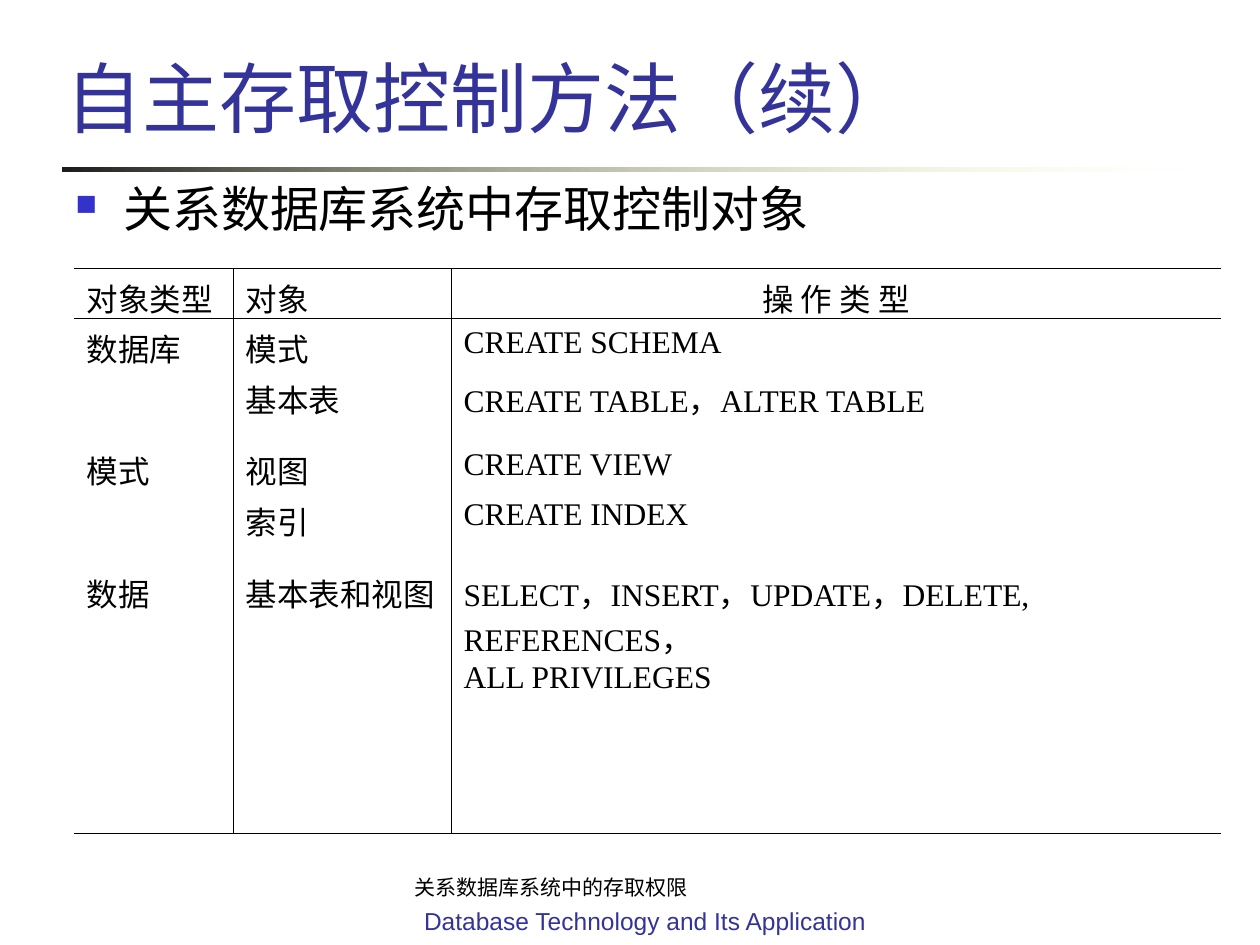
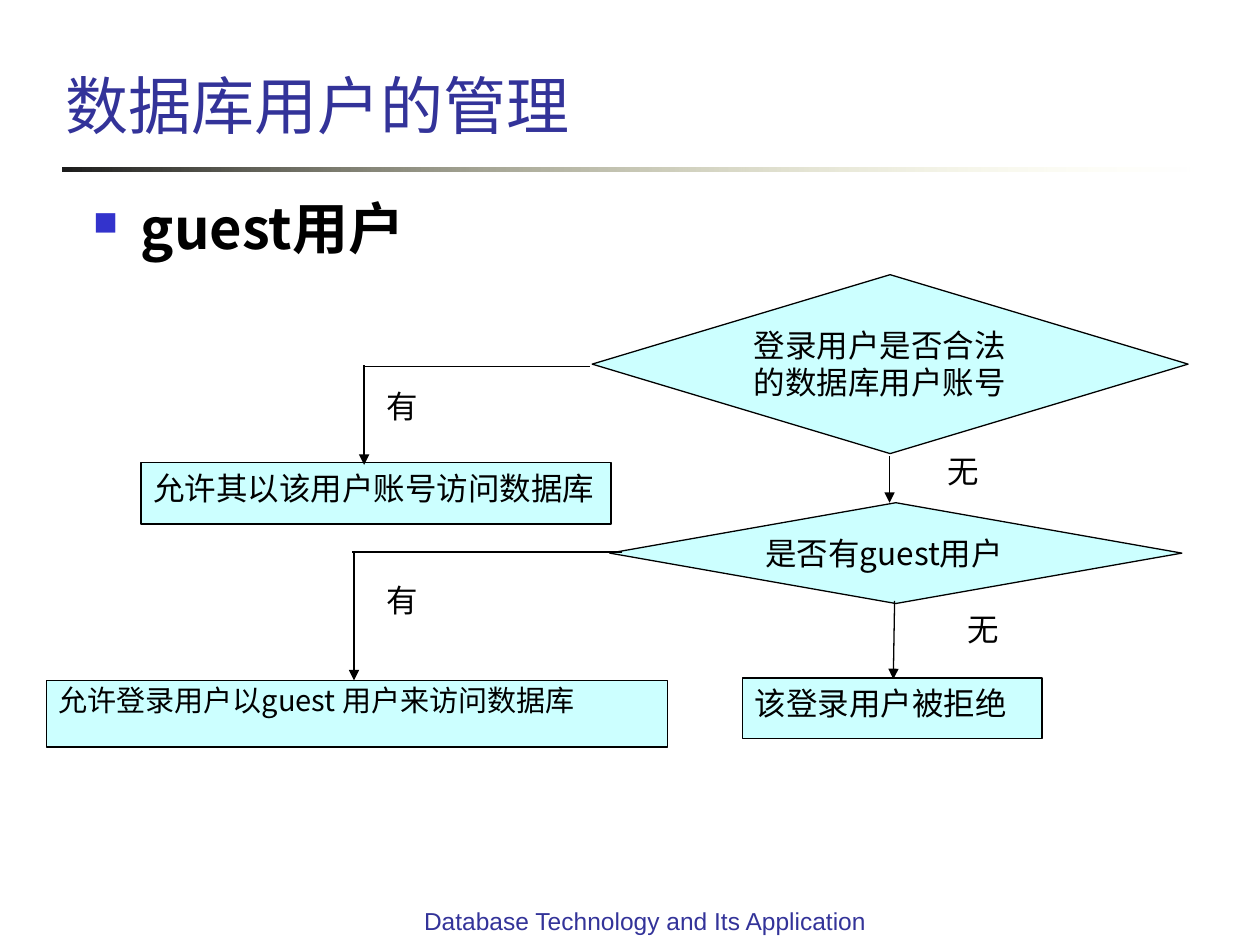
from lxml import etree
from pptx import Presentation, util as u
from pptx.dml.color import RGBColor
from pptx.enum import shapes, text
from pptx.oxml import parse_xml
from pptx.oxml.ns import nsdecls, qn

COLS, ROWS = 100, 75
NAVY, BLACK, AQUA, BULLET = "333399", "000000", "CCFFFF", "3333CC"
NOTO, ARIAL, TIMES = "Noto Sans CJK SC", "Arial", "Times New Roman"
LEFT, CENTER, JUSTIFY = text.PP_ALIGN.LEFT, text.PP_ALIGN.CENTER, text.PP_ALIGN.JUSTIFY
TOP, MIDDLE, BOTTOM = text.MSO_ANCHOR.TOP, text.MSO_ANCHOR.MIDDLE, text.MSO_ANCHOR.BOTTOM
rgb = RGBColor.from_string

prs = Presentation()
prs.slide_width, prs.slide_height = u.Inches(10), u.Inches(7.5)


def grid(*cells):
    return [int(prs.slide_width / COLS * n) for n in cells]


def put(tf, words, size=18, font=NOTO, color=BLACK, bold=False, align=LEFT,
        anchor=TOP, spacing=None, bullet=False):
    tf.word_wrap = True
    tf.vertical_anchor = anchor
    for i, line in enumerate(words.split("\n")):
        p = tf.add_paragraph() if i else tf.paragraphs[0]
        p.alignment = align
        if spacing:
            p.line_spacing = spacing
        if bullet:
            pPr = p._p.get_or_add_pPr()
            pPr.set("marL", str(u.Inches(0.38)))
            pPr.set("indent", str(-u.Inches(0.38)))
            for xml in (f'<a:buClr {nsdecls("a")}><a:srgbClr val="{BULLET}"/></a:buClr>',
                        f'<a:buSzPct {nsdecls("a")} val="60000"/>',
                        f'<a:buChar {nsdecls("a")} char="■"/>'):
                pPr.append(parse_xml(xml))
        r = p.add_run()
        r.text = line
        r.font.size, r.font.bold, r.font.name = u.Pt(size), bold, font
        r.font.color.rgb = rgb(color)
        etree.SubElement(r._r.get_or_add_rPr(), qn("a:ea")).set("typeface", NOTO)


pages = [
    ("自主存取控制方法（续）", dict(size=44, font=ARIAL),
     (5, 13.7, 89.9, 7), "关系数据库系统中存取控制对象", dict(size=28, font=ARIAL)),
    ("数据库用户的管理", dict(size=36),
     (6.4, 14.9, 89.6, 7.5), "guest用户", dict(size=32, bold=True, align=JUSTIFY)),
]
for title, title_format, body_at, body, body_format in pages:
    s = prs.slides.add_slide(prs.slide_layouts[6])
    sp = s.shapes.add_shape(shapes.MSO_SHAPE.RECTANGLE, *grid(5, 13.3, 90, 0.3))
    sp.shadow.inherit = False
    sp.line.fill.background()
    sp.fill.gradient()
    sp.fill.gradient_angle = 0
    for stop, color in zip(sp.fill.gradient_stops, ("1C1C1C", "FFFFB7")):
        stop.color.rgb = rgb(color)
    fade = list(sp._element.spPr.iter(qn("a:srgbClr")))[-1]
    etree.SubElement(fade, qn("a:alpha")).set("val", "0")
    put(s.shapes.add_textbox(*grid(31.9, 71.4, 38.6, 5.2)).text_frame,
        "Database Technology and Its Application", size=14, font=ARIAL, color=NAVY, align=CENTER)
    put(s.shapes.add_textbox(*grid(4.2, 0, 87.8, 11.8)).text_frame,
        title, color=NAVY, anchor=BOTTOM, **title_format)
    put(s.shapes.add_textbox(*grid(*body_at)).text_frame, body, bullet=True, **body_format)

s = prs.slides[0]
rows = [
    ("对象类型", "对象", "操 作 类 型"),
    ("数据库", "模式", "CREATE SCHEMA"),
    ("", "基本表", "CREATE TABLE，ALTER TABLE"),
    ("模式", "视图", "CREATE VIEW"),
    ("", "索引", "CREATE INDEX"),
    ("数据", "基本表和视图", "SELECT，INSERT，UPDATE，DELETE, REFERENCES，\nALL PRIVILEGES"),
    ("", "", ""),
    ("", "", ""),
]
widths = grid(12.6, 17.3, 61.1)
heights = grid(4, 4, 5.7, 4, 5.7, 10, 5.7, 5.7)
tbl = s.shapes.add_table(len(rows), len(widths), *grid(5.9, 21.3, 91, 44.8)).table
tbl.first_row = tbl.horz_banding = False
for col, width in zip(tbl.columns, widths):
    col.width = width
for i, (row, height) in enumerate(zip(rows, heights)):
    tbl.rows[i].height = height
    for j, words in enumerate(row):
        cell = tbl.cell(i, j)
        if words:
            put(cell.text_frame, words, font=TIMES, align=CENTER if (i, j) == (0, 2) else LEFT)
        cell.fill.background()
        edges = {"L": j > 0, "R": j < 2, "T": i < 2, "B": i in (0, len(rows) - 1)}
        for k, (side, drawn) in enumerate(edges.items()):
            paint = f'<a:solidFill><a:srgbClr val="{BLACK}"/></a:solidFill>' if drawn else "<a:noFill/>"
            cell._tc.get_or_add_tcPr().insert(k, parse_xml(
                f'<a:ln{side} {nsdecls("a")} w="{u.Pt(0.45)}">{paint}</a:ln{side}>'))
put(s.shapes.add_textbox(*grid(31.9, 68.4, 24.2, 4)).text_frame,
    "关系数据库系统中的存取权限", size=12, font=TIMES, anchor=MIDDLE)

s = prs.slides[1]
BOX, DIAMOND = shapes.MSO_SHAPE.RECTANGLE, shapes.MSO_SHAPE.DIAMOND
nodes = [
    (BOX, (11.2, 36.7, 37.3, 4.9), "允许其以该用户账号访问数据库", {}),
    (DIAMOND, (47, 21.8, 47.3, 14.2), "登录用户是否合法的数据库用户账号", {}),
    (BOX, (3.7, 54, 49.3, 5.3), "允许登录用户以guest 用户来访问数据库", dict(size=16.6, spacing=0.9)),
    (DIAMOND, (48.4, 39.9, 45.4, 8), "是否有guest用户", {}),
    (BOX, (58.9, 53.8, 23.8, 4.8), "该登录用户被拒绝", {}),
]
for kind, place, words, form in nodes:
    sp = s.shapes.add_shape(kind, *grid(*place))
    sp.shadow.inherit = False
    sp.fill.solid()
    sp.fill.fore_color.rgb = rgb(AQUA)
    sp.line.color.rgb = rgb(BLACK)
    sp.line.width = u.Pt(0.75)
    put(sp.text_frame, words, **form)

links = [
    ((70.6, 36.2, 70.6, 39.9), True),
    ((71, 47.7, 70.9, 53.9), True),
    ((46.8, 29.1, 28.9, 29.1), False),
    ((28.9, 29, 28.9, 36.9), True),
    ((49.4, 43.8, 27.9, 43.8), False),
    ((28.1, 43.9, 28.1, 54), True),
]
for ends, arrow in links:
    cx = s.shapes.add_connector(shapes.MSO_CONNECTOR.STRAIGHT, *grid(*ends))
    cx.line.color.rgb = rgb(BLACK)
    cx.line.width = u.Pt(0.75)
    if arrow:
        etree.SubElement(cx.line._get_or_add_ln(), qn("a:tailEnd")).set("type", "triangle")
    etree.SubElement(cx._element.spPr, qn("a:effectLst"))

for x, y, answer in [(29.7, 30.2, "有"), (29.7, 45.6, "有"), (74.2, 35.4, "无"), (75.8, 47.9, "无")]:
    put(s.shapes.add_textbox(*grid(x, y, 5.6, 5.1)).text_frame, answer)

prs.save("out.pptx")
